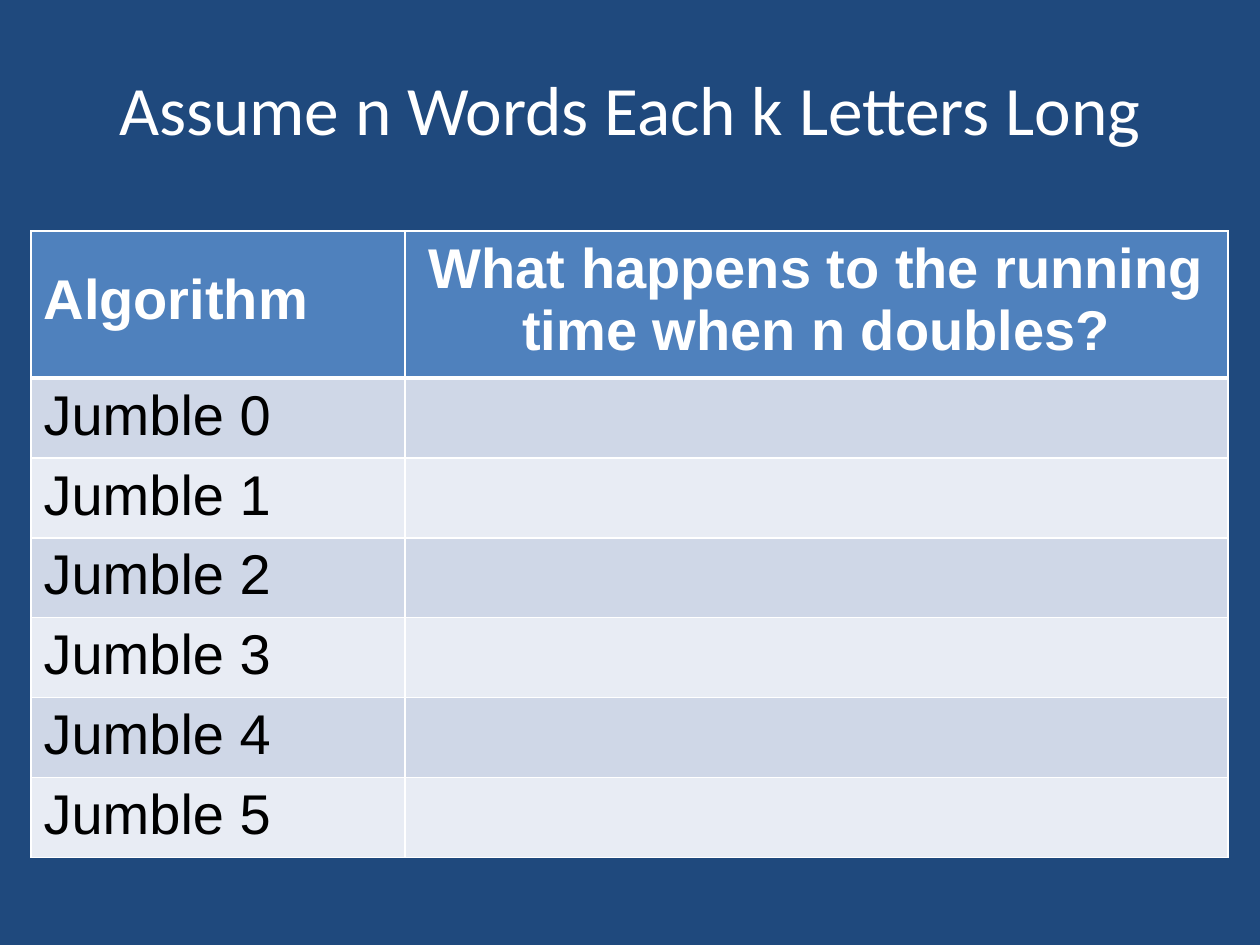
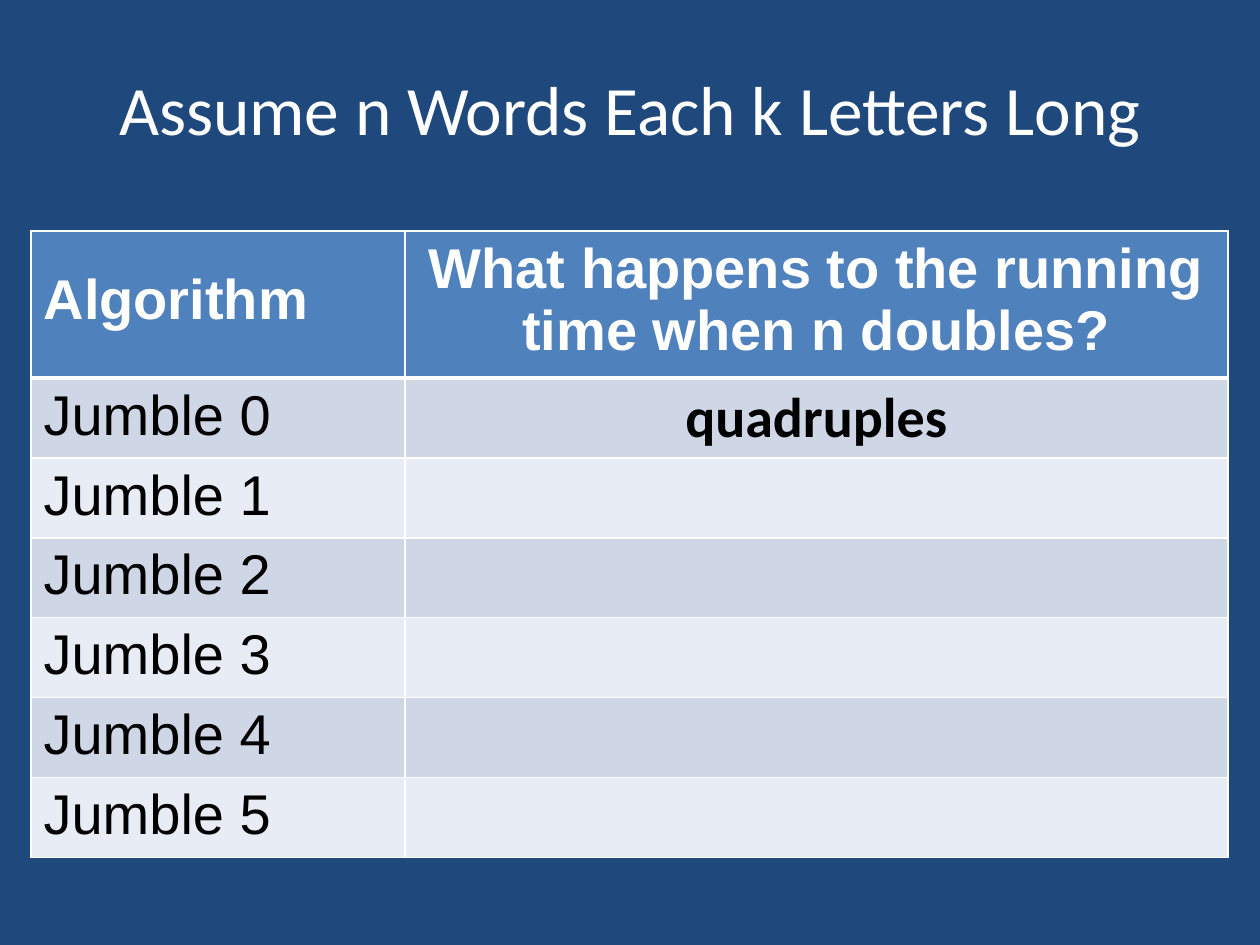
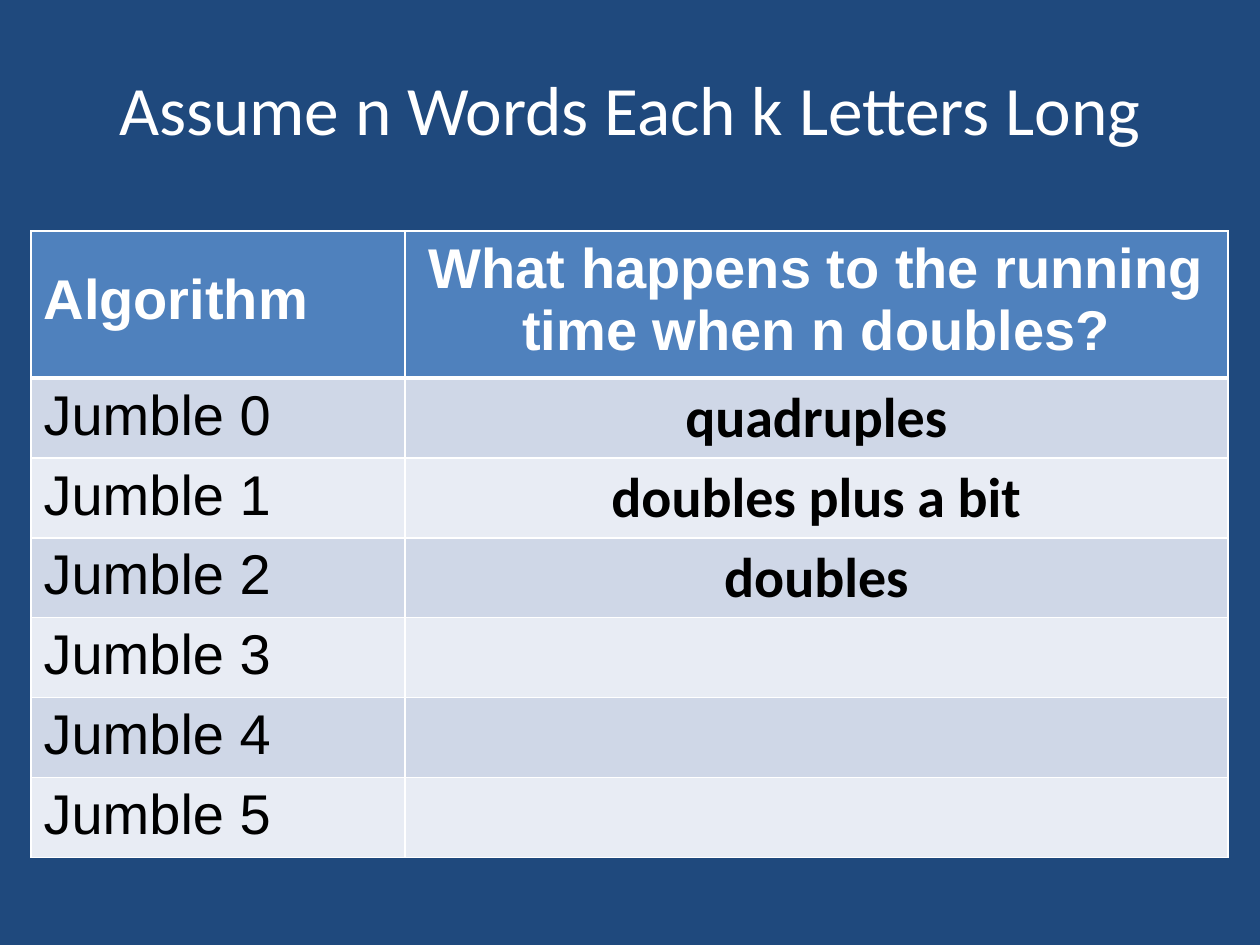
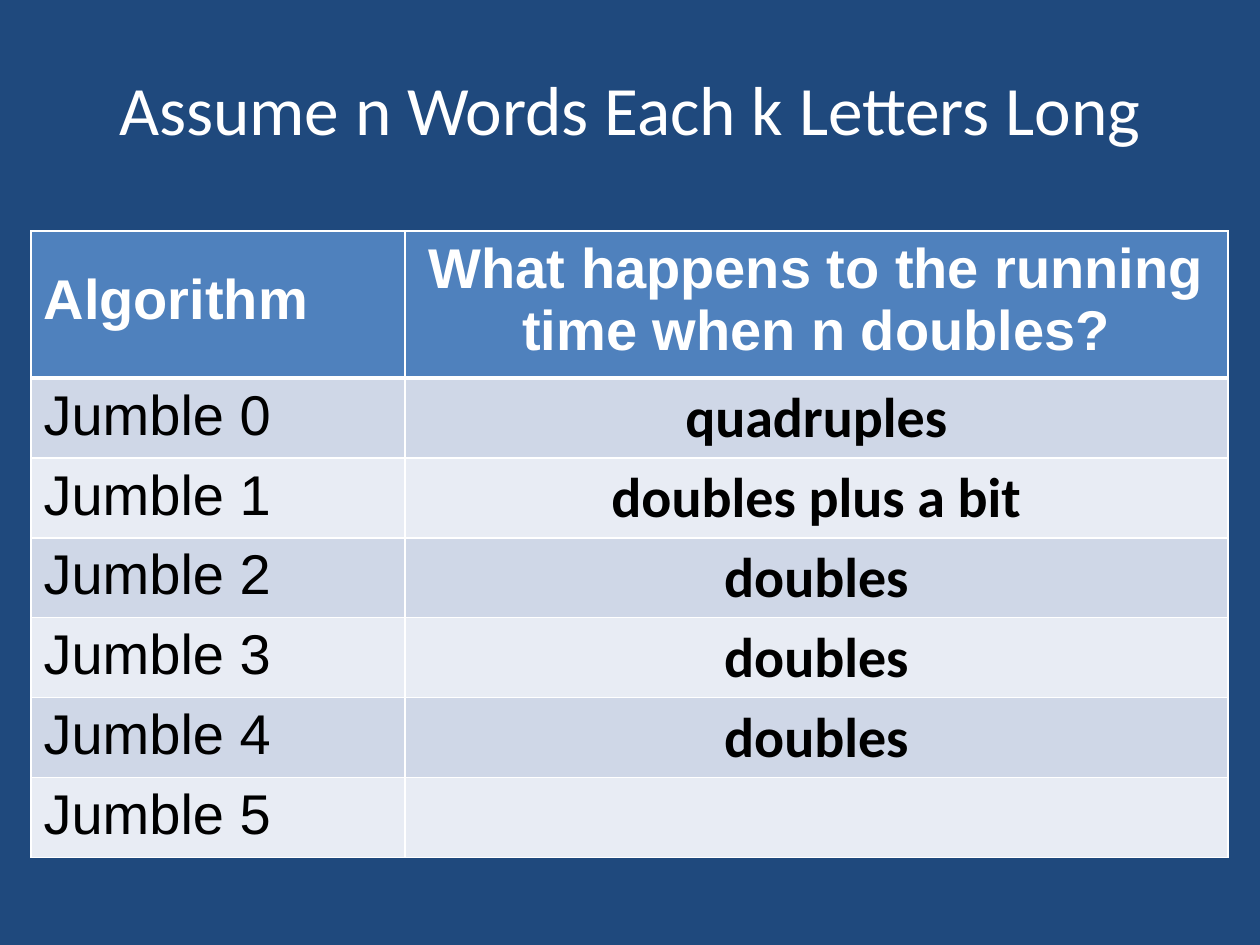
import pptx
import pptx.dml.color
import pptx.enum.text
import pptx.oxml.ns
import pptx.util
from lxml import etree

RGBColor = pptx.dml.color.RGBColor
NAVY = RGBColor(0x1F, 0x49, 0x7D)
BLUE = RGBColor(0x4F, 0x81, 0xBD)
BAND_DARK = RGBColor(0xCF, 0xD7, 0xE7)
BAND_LIGHT = RGBColor(0xE8, 0xEC, 0xF4)
WHITE = RGBColor(0xFF, 0xFF, 0xFF)
BLACK = RGBColor(0x00, 0x00, 0x00)

PX = 914400 // 126
SLIDE_W, SLIDE_H = 1260, 945
TITLE_BOX = (63, 59, 1134, 98)
TABLE_BOX = (31, 231, 1197, 459)
NAME_COL = 374
HEADER_H = 147
HEADER_INSET = 38

TITLE = "Assume n Words Each k Letters Long"
HEADERS = ("Algorithm", "What happens to the running time when n doubles?")
ALGORITHMS = [f"Jumble {i}" for i in range(6)]
ANSWERS = ["quadruples", "doubles plus a bit", "doubles", "doubles", "doubles"]
ANSWERS_SHOWN = (0, 1, 3, 5)

CENTER = pptx.enum.text.PP_ALIGN.CENTER
LEFT = pptx.enum.text.PP_ALIGN.LEFT


def px(n):
    return pptx.util.Emu(n * PX)


def set_text(tf, text, size, font, color, bold=False, align=LEFT):
    tf.text = text
    p = tf.paragraphs[0]
    p.alignment = align
    for r in p.runs:
        r.font.size = pptx.util.Pt(size)
        r.font.name = font
        r.font.bold = bold
        r.font.color.rgb = color


def set_borders(cell, top, bottom):
    """Draw white cell borders; top and bottom are widths in points."""
    tcPr = cell._tc.get_or_add_tcPr()
    qn = pptx.oxml.ns.qn
    for side, width in (("L", 1), ("R", 1), ("T", top), ("B", bottom)):
        ln = etree.SubElement(tcPr, qn(f"a:ln{side}"), w=str(pptx.util.Pt(width)))
        fill = etree.SubElement(ln, qn("a:solidFill"))
        etree.SubElement(fill, qn("a:srgbClr"), val=str(WHITE))


def add_title(slide, box):
    sp = slide.shapes.add_textbox(*map(px, box))
    tf = sp.text_frame
    tf.word_wrap = True
    tf.vertical_anchor = pptx.enum.text.MSO_ANCHOR.MIDDLE
    set_text(tf, TITLE, 39.6, "Calibri", WHITE, align=CENTER)


def add_running_times(slide, box, shown):
    """Add the table with the first `shown` answers filled in."""
    x, y, w, h = box
    n = len(ALGORITHMS)
    table = slide.shapes.add_table(n + 1, 2, *map(px, box)).table

    # Grid
    table.columns[0].width = px(NAME_COL)
    table.columns[1].width = px(w - NAME_COL)
    table.rows[0].height = px(HEADER_H)
    for i in range(1, n + 1):
        table.rows[i].height = px((h - HEADER_H) // n)

    # Borders and fills, with a thick rule below the header
    for i, row in enumerate(table.rows):
        for cell in row.cells:
            set_borders(cell, 3 if i == 1 else 1, 3 if i == 0 else 1)
            cell.fill.solid()
            cell.fill.fore_color.rgb = (
                BLUE if i == 0 else BAND_DARK if i % 2 else BAND_LIGHT)

    # Header
    for j, (text, align) in enumerate(zip(HEADERS, (LEFT, CENTER))):
        set_text(table.cell(0, j).text_frame, text, 32, "Arial", WHITE, True, align)
    table.cell(0, 0).margin_top = px(HEADER_INSET)

    # Algorithms and answers
    for i, name in enumerate(ALGORITHMS, 1):
        set_text(table.cell(i, 0).text_frame, name, 32, "Arial", BLACK)
    for i, answer in enumerate(ANSWERS[:shown], 1):
        set_text(table.cell(i, 1).text_frame, answer, 32, "Calibri", BLACK, True, CENTER)


def main():
    prs = pptx.Presentation()
    prs.slide_width, prs.slide_height = px(SLIDE_W), px(SLIDE_H)
    fill = prs.slide_master.background.fill
    fill.solid()
    fill.fore_color.rgb = NAVY
    for shown in ANSWERS_SHOWN:
        slide = prs.slides.add_slide(prs.slide_layouts[6])
        add_title(slide, TITLE_BOX)
        add_running_times(slide, TABLE_BOX, shown)
    prs.save("out.pptx")


if __name__ == "__main__":
    main()
